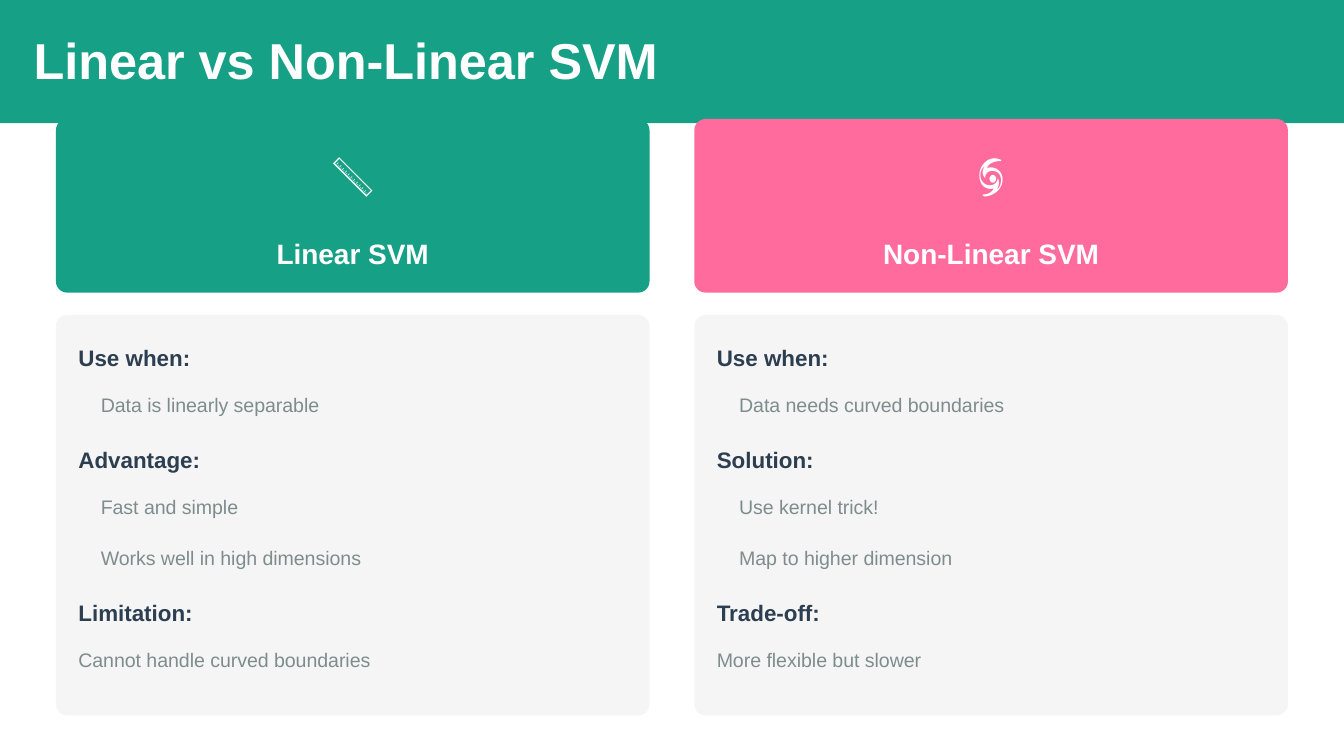
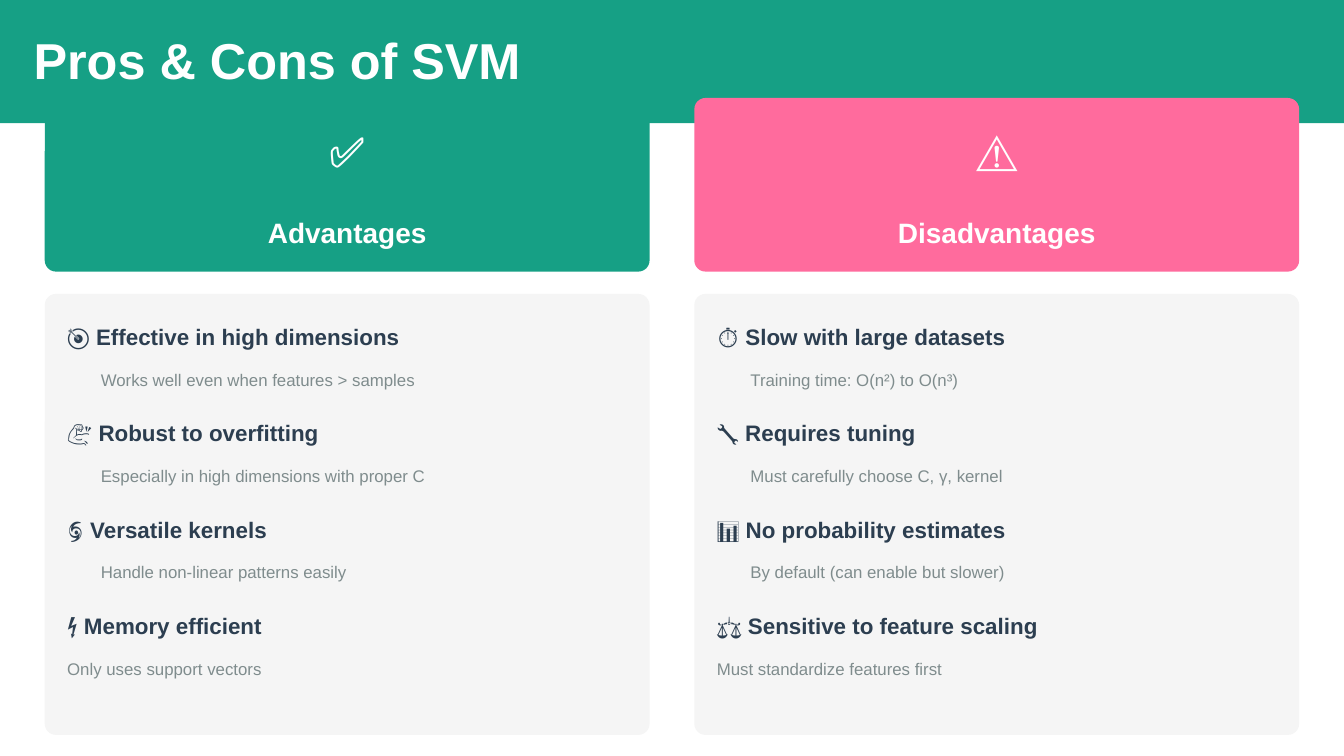
from pptx import Presentation
from pptx.dml.color import RGBColor
from pptx.enum.shapes import MSO_SHAPE
from pptx.enum.text import MSO_ANCHOR, MSO_AUTO_SIZE, PP_ALIGN
from pptx.oxml.ns import qn
from pptx.util import Emu, Pt
from lxml import etree

PX = 9525
TEAL = RGBColor(0x16, 0xA0, 0x85)
PINK = RGBColor(0xFF, 0x6B, 0x9D)
PALE = RGBColor(0xF5, 0xF5, 0xF5)
NAVY = RGBColor(0x2C, 0x3E, 0x50)
GRAY = RGBColor(0x7F, 0x8C, 0x8D)
WHITE = RGBColor(0xFF, 0xFF, 0xFF)

SLIDE_WIDTH, SLIDE_HEIGHT = 960, 540
BAND_HEIGHT = 88
CARD_HEIGHT = 124
GAP = 16
RADIUS = 8
RIGHT_COLUMN = 496

TITLE = {"size": 27, "color": WHITE, "bold": True, "line": 30}
ICON = {"size": 22.5, "color": WHITE, "line": 27, "align": PP_ALIGN.CENTER}
LABEL = {"size": 15, "color": WHITE, "bold": True, "line": 21, "align": PP_ALIGN.CENTER}
HEADING = {"size": 12, "color": NAVY, "bold": True, "line": 18, "after": 9.3}

SLIDES = [
    {
        "title": "Linear vs Non-Linear SVM",
        "left": 40, "top": 85, "width": 424, "panel_height": 286, "indent": 16,
        "detail": {"size": 10.5, "color": GRAY, "line": 15, "after": 12.3},
        "columns": [
            ("📏", "Linear SVM", 112, [
                ("", "Use when:", ["Data is linearly separable"]),
                ("", "Advantage:", ["Fast and simple", "Works well in high dimensions"]),
                ("", "Limitation:", ["Cannot handle curved boundaries"]),
            ]),
            ("🌀", "Non-Linear SVM", 158, [
                ("", "Use when:", ["Data needs curved boundaries"]),
                ("", "Solution:", ["Use kernel trick!", "Map to higher dimension"]),
                ("", "Trade-off:", ["More flexible but slower"]),
            ]),
        ],
    },
    {
        "title": "Pros & Cons of SVM",
        "left": 32, "top": 70, "width": 432, "panel_height": 315, "indent": 24,
        "detail": {"size": 9, "color": GRAY, "line": 12, "after": 12.3},
        "columns": [
            ("✅", "Advantages", 116, [
                ("🎯 ", "Effective in high dimensions", ["Works well even when features > samples"]),
                ("💪 ", "Robust to overfitting", ["Especially in high dimensions with proper C"]),
                ("🌀 ", "Versatile kernels", ["Handle non-linear patterns easily"]),
                ("⚡ ", "Memory efficient", ["Only uses support vectors"]),
            ]),
            ("⚠️", "Disadvantages", 144, [
                ("⏱️ ", "Slow with large datasets", ["Training time: O(n²) to O(n³)"]),
                ("🔧 ", "Requires tuning", ["Must carefully choose C, γ, kernel"]),
                ("📊 ", "No probability estimates", ["By default (can enable but slower)"]),
                ("⚖️ ", "Sensitive to feature scaling", ["Must standardize features first"]),
            ]),
        ],
    },
]


def add_block(slide, kind, box, color):
    shape = slide.shapes.add_shape(kind, *[Emu(value * PX) for value in box])
    shape.shadow.inherit = False
    shape.fill.solid()
    shape.fill.fore_color.rgb = color
    shape.line.fill.background()
    if kind == MSO_SHAPE.ROUNDED_RECTANGLE:
        shape.adjustments[0] = RADIUS / box[3]


def write_text(shape, box, lines):
    for name, value in zip(("left", "top", "width", "height"), box):
        setattr(shape, name, Emu(value * PX))
    shape.element.getparent().append(shape.element)
    frame = shape.text_frame
    frame_format = {
        "margin_left": 0, "margin_top": 0, "margin_right": 0, "margin_bottom": 0,
        "word_wrap": True, "auto_size": MSO_AUTO_SIZE.NONE,
        "vertical_anchor": MSO_ANCHOR.TOP,
    }
    for name, value in frame_format.items():
        setattr(frame, name, value)
    for index, (icon, text, indent, style) in enumerate(lines):
        paragraph = frame.paragraphs[0] if index == 0 else frame.add_paragraph()
        properties = paragraph._p.get_or_add_pPr()
        properties.set("marL", str(indent * PX))
        properties.set("indent", "0")
        etree.SubElement(properties, qn("a:buNone"))
        paragraph_format = {
            "alignment": style.get("align", PP_ALIGN.LEFT),
            "line_spacing": Pt(style["line"]),
            "space_before": Pt(0),
            "space_after": Pt(style.get("after", 0)),
        }
        for name, value in paragraph_format.items():
            setattr(paragraph, name, value)
        for content, bold in ((icon, False), (text, style.get("bold", False))):
            if content:
                run = paragraph.add_run()
                run.text = content
                font_format = {"name": "Arial", "size": Pt(style["size"]), "bold": bold}
                for name, value in font_format.items():
                    setattr(run.font, name, value)
                run.font.color.rgb = style["color"]


presentation = Presentation()
presentation.slide_width = Emu(SLIDE_WIDTH * PX)
presentation.slide_height = Emu(SLIDE_HEIGHT * PX)
comparison_layout = presentation.slide_layouts.get_by_name("Comparison")

for content in SLIDES:
    slide = presentation.slides.add_slide(comparison_layout)
    title, left_label, left_list, right_label, right_list = slide.placeholders
    add_block(slide, MSO_SHAPE.RECTANGLE, (0, 0, SLIDE_WIDTH, BAND_HEIGHT), TEAL)
    write_text(title, (24, 24, 466, 40), [("", content["title"], 0, TITLE)])

    top, width = content["top"], content["width"]
    panel_top = top + CARD_HEIGHT + GAP
    panel_height = content["panel_height"]
    column_places = [
        (content["left"], TEAL, left_label, left_list),
        (RIGHT_COLUMN, PINK, right_label, right_list),
    ]
    for place, column in zip(column_places, content["columns"]):
        left, color, label_holder, list_holder = place
        icon, label, label_width, sections = column
        center = left + width // 2

        add_block(slide, MSO_SHAPE.ROUNDED_RECTANGLE, (left, top, width, CARD_HEIGHT), color)
        icon_box = slide.shapes.add_textbox(0, 0, 0, 0)
        write_text(icon_box, (center - 19, top + 20, 38, 36), [("", icon, 0, ICON)])
        label_place = (center - label_width // 2, top + 80, label_width, 28)
        write_text(label_holder, label_place, [("", label, 0, LABEL)])
        label_holder.text_frame.word_wrap = False

        add_block(slide, MSO_SHAPE.ROUNDED_RECTANGLE, (left, panel_top, width, panel_height), PALE)
        lines = []
        for section_icon, heading, details in sections:
            indent = 0 if heading == sections[-1][1] else content["indent"]
            lines.append((section_icon, heading, 0, HEADING))
            lines += [("", detail, indent, content["detail"]) for detail in details]
        list_place = (left + GAP, panel_top + GAP, width - 24, panel_height - 2 * GAP)
        write_text(list_holder, list_place, lines)

presentation.save("out.pptx")
